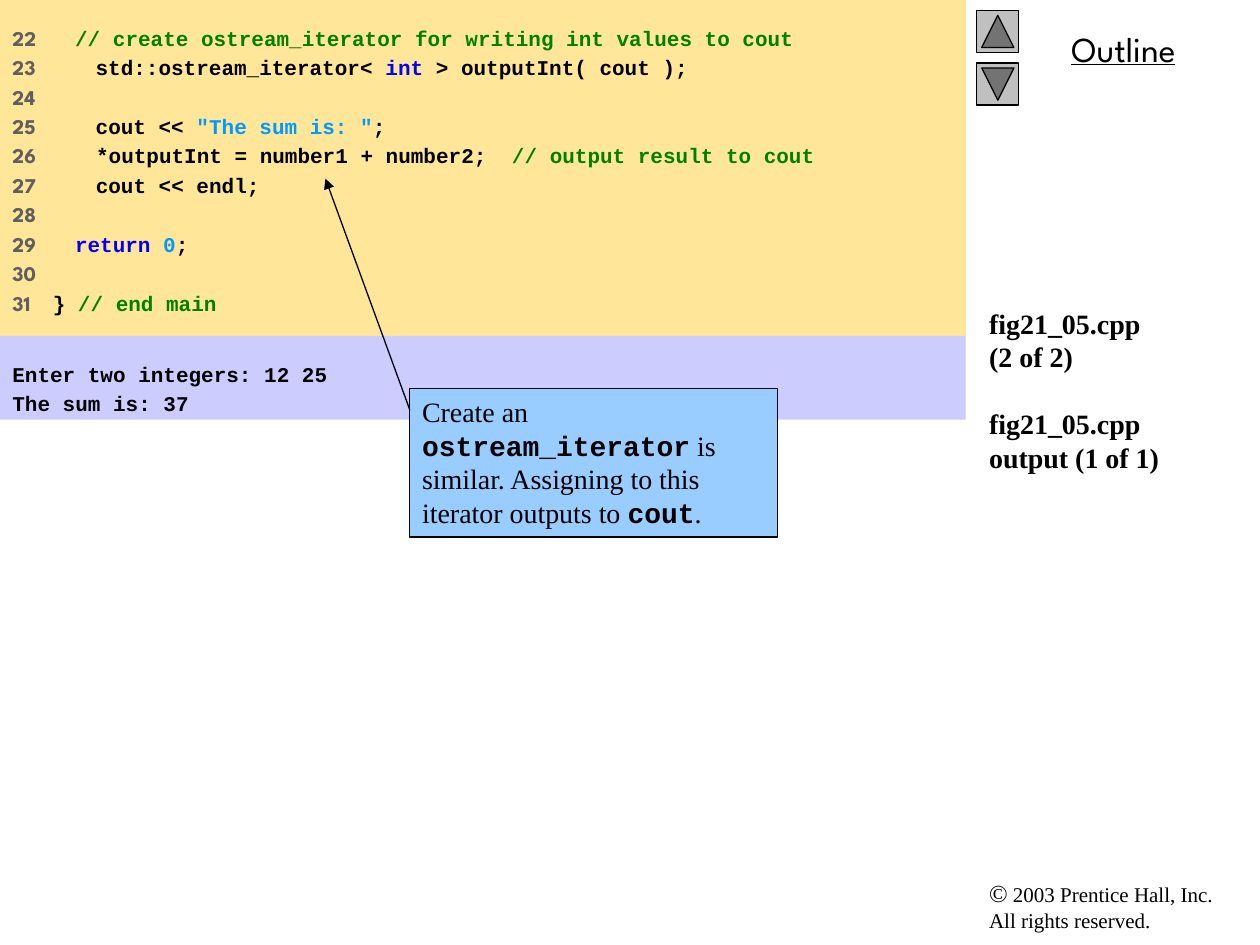
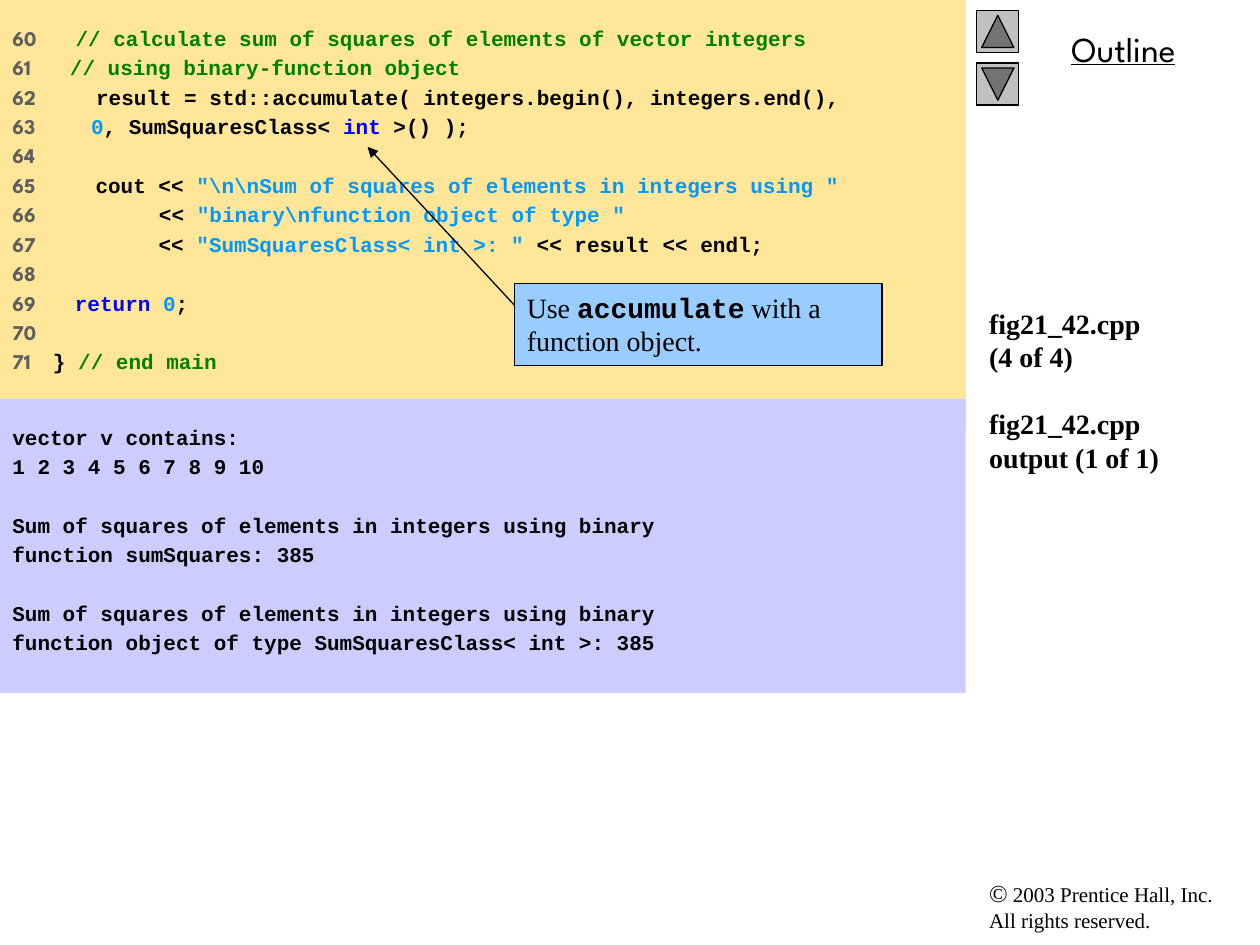
from lxml import etree
from pptx import Presentation
from pptx.dml.color import RGBColor
from pptx.enum.shapes import MSO_CONNECTOR, MSO_SHAPE
from pptx.enum.text import MSO_ANCHOR, MSO_AUTO_SIZE, PP_ALIGN
from pptx.oxml.ns import qn
from pptx.util import Cm, Pt

RECT, TRIANGLE = MSO_SHAPE.RECTANGLE, MSO_SHAPE.ISOSCELES_TRIANGLE
STRAIGHT = MSO_CONNECTOR.STRAIGHT
TOP, MIDDLE = MSO_ANCHOR.TOP, MSO_ANCHOR.MIDDLE
LEFT, CENTER = PP_ALIGN.LEFT, PP_ALIGN.CENTER
NO_FIT = MSO_AUTO_SIZE.NONE

# Shared colours, sizes and text styles
BLACK, CODE_FILL, OUTPUT_FILL, NOTE_FILL = "000000", "FFE699", "CCCCFF", "99CCFF"
BUTTON_FILL, ARROW_FILL = "C0C0C0", "737373"
BAND_W, SIDE_X, NOTE_W = 19.47, 19.69, 7.41
LINE_GAP, BLOCK_GAP = Pt(2.4), Pt(19.2)
SERIF, MONO, SANS = "Times New Roman", "Courier New", "League Spartan"
STYLES = {
    "number": ("5F5F5F", dict(name=SANS, size=Pt(12), bold=True)),
    "code": (BLACK, dict(name=MONO, size=Pt(12), bold=True)),
    "comment": ("008000", dict(name=MONO, size=Pt(12), bold=True)),
    "keyword": ("0000FF", dict(name=MONO, size=Pt(12), bold=True)),
    "literal": ("0099FF", dict(name=MONO, size=Pt(12), bold=True)),
    "title": (BLACK, dict(name=SERIF, size=Pt(16), bold=True)),
    "note": (BLACK, dict(name=SERIF, size=Pt(16), bold=False)),
    "term": (BLACK, dict(name=MONO, size=Pt(16), bold=True)),
    "outline": (BLACK, dict(name=SANS, size=Pt(20), underline=True)),
    "sign": (BLACK, dict(name=SERIF, size=Pt(14))),
    "rights": (BLACK, dict(name=SERIF, size=Pt(12))),
}


def set_box(sp, box, fill=None, line=None):
    sp.left, sp.top, sp.width, sp.height = [Cm(v) for v in box]
    if fill:
        sp.fill.solid()
        sp.fill.fore_color.rgb = RGBColor.from_string(fill)
        sp.shadow.inherit = False
        if line:
            sp.line.color.rgb = RGBColor.from_string(line)
            sp.line.width = Pt(0.75)
        else:
            sp.line.fill.background()


def set_text(sp, paragraphs, margin=0.13, anchor=TOP, align=LEFT):
    """Each paragraph is (space before, [(style, text), ...])."""
    tf = sp.text_frame
    frame = dict(word_wrap=True, auto_size=NO_FIT, vertical_anchor=anchor,
                 margin_left=Cm(0.25), margin_right=Cm(0.25),
                 margin_top=Cm(margin), margin_bottom=Cm(margin))
    for key, value in frame.items():
        setattr(tf, key, value)
    for i, (space, runs) in enumerate(paragraphs):
        p = tf.add_paragraph() if i else tf.paragraphs[0]
        p.alignment = align
        p.space_before = space if i else Pt(0)
        for style, text in runs:
            color, font = STYLES[style]
            for j, part in enumerate(text.split("\n")):
                if j:
                    p.add_line_break()
                r = p.add_run()
                r.text = part
                r.font.color.rgb = RGBColor.from_string(color)
                for key, value in font.items():
                    setattr(r.font, key, value)


# Slide content: each code line is the gap after its number, then its runs
WIDE, GAP = " " * 7, " " * 4
BLANK = ("",)
RETURN = (WIDE, ("keyword", "return "), ("literal", "0"), ("code", ";"))
END = (GAP, ("code", "} "), ("comment", "// end main"))
SLIDES = [
    dict(
        file="fig21_05.cpp", part="(2 of 2)", first=22, code_h=6.77,
        code=[
            (WIDE, ("comment", "// create ostream_iterator for writing int values to cout")),
            (GAP, ("code", "   std::ostream_iterator< "), ("keyword", "int"),
             ("code", " > outputInt( cout );")),
            BLANK,
            (GAP, ("code", "   cout << "), ("literal", '"The sum is: "'), ("code", ";")),
            (GAP, ("code", "   *outputInt = number1 + number2;  "),
             ("comment", "// output result to cout")),
            (GAP, ("code", "   cout << endl;")),
            BLANK, RETURN, BLANK, END,
        ],
        output_y=6.77, output_h=1.69,
        output=[["Enter two integers: 12 25", "The sum is: 37"]],
        note_box=(8.26, 7.83, NOTE_W, 3),
        note=[("note", "Create an "), ("term", "ostream_iterator"),
              ("note", " is similar. Assigning to this iterator outputs to "),
              ("term", "cout"), ("note", ".")],
        arrow=(8.26, 8.26, 6.56, 3.6),
    ),
    dict(
        file="fig21_42.cpp", part="(4 of 4)", first=60, code_h=8.68,
        code=[
            (WIDE, ("comment", "// calculate sum of squares of elements of vector integers")),
            (WIDE, ("comment", "// using binary-function object")),
            (GAP, ("code", "   result = std::accumulate( integers.begin(), integers.end(),")),
            (" " * 10, ("literal", "0"), ("code", ", SumSquaresClass< "),
             ("keyword", "int"), ("code", " >() );")),
            BLANK,
            (GAP, ("code", "   cout << "),
             ("literal", r'"\n\nSum of squares of elements in integers using "')),
            (GAP, ("code", "        << "), ("literal", r'"binary\nfunction object of type "')),
            (GAP, ("code", "        << "), ("literal", '"SumSquaresClass< int >: "'),
             ("code", " << result << endl;")),
            BLANK, RETURN, BLANK, END,
        ],
        output_y=8.04, output_h=5.93,
        output=[
            ["vector v contains:", "1 2 3 4 5 6 7 8 9 10"],
            ["Sum of squares of elements in integers using binary",
             "function sumSquares: 385"],
            ["Sum of squares of elements in integers using binary",
             "function object of type SumSquaresClass< int >: 385"],
        ],
        note_box=(10.37, 5.72, NOTE_W, 1.65),
        note=[("note", "Use "), ("term", "accumulate"), ("note", " with a function object.")],
        arrow=(10.37, 6.15, 7.41, 2.96),
    ),
]

prs = Presentation()
prs.slide_width, prs.slide_height = Cm(25.4), Cm(19.05)
layout = prs.slide_layouts[0]

for number, d in enumerate(SLIDES):
    s = prs.slides.add_slide(layout)

    # Side column, drawn once and kept on the layout
    if number == 0:
        shared = []
        for box, runs, align in [
            ((SIDE_X, 17.57, 5.5, 1.35),
             [("sign", "©"), ("rights", " 2003 Prentice Hall, Inc.\nAll rights reserved.")], LEFT),
            ((19.9, 0.42, 5.5, 1.1), [("outline", "Outline")], CENTER),
        ]:
            sp = s.shapes.add_textbox(0, 0, 0, 0)
            set_box(sp, box)
            set_text(sp, [(Pt(0), runs)], align=align)
            shared.append(sp)
        for i, turn in enumerate((0, 180)):
            y = 0.21 + 1.06 * i
            sp = s.shapes.add_shape(RECT, 0, 0, 0, 0)
            set_box(sp, (SIDE_X, y, 0.85, 0.85), BUTTON_FILL, BLACK)
            arrow = s.shapes.add_shape(TRIANGLE, 0, 0, 0, 0)
            set_box(arrow, (SIDE_X + 0.1, y + 0.1, 0.65, 0.65), ARROW_FILL, BLACK)
            arrow.rotation = turn
            shared += [sp, arrow]
        for sp in shared:
            layout.shapes.element.append(sp.element)

    # Title: file names beside the code
    title, body = s.shapes.title, s.placeholders[1]
    set_box(title, (SIDE_X, 2.33, 5.71, 13.34))
    set_text(title, [(Pt(0), [("title", f"{d['file']}\n{d['part']}")]),
                     (BLOCK_GAP, [("title", f"{d['file']}\noutput (1 of 1)")])],
             anchor=MIDDLE)
    title.text_frame.margin_bottom = Cm(2.4)

    # Numbered code
    set_box(body, (0, 0, BAND_W, d["code_h"]), CODE_FILL)
    set_text(body, [(LINE_GAP, [("number", f"{n}{gap}"), *runs])
                    for n, (gap, *runs) in enumerate(d["code"], d["first"])], margin=0.51)

    # Program output
    sp = s.shapes.add_shape(RECT, 0, 0, 0, 0)
    set_box(sp, (0, d["output_y"], BAND_W, d["output_h"]), OUTPUT_FILL)
    set_text(sp, [(LINE_GAP if i else BLOCK_GAP, [("code", line)])
                  for block in d["output"] for i, line in enumerate(block)], margin=0.51)

    # Callout and its arrow
    sp = s.shapes.add_shape(RECT, 0, 0, 0, 0)
    set_box(sp, d["note_box"], NOTE_FILL, BLACK)
    set_text(sp, [(Pt(0), d["note"])])
    c = s.shapes.add_connector(STRAIGHT, *[Cm(v) for v in d["arrow"]])
    c.line.color.rgb = RGBColor.from_string(BLACK)
    c.line.width = Pt(0.75)
    spPr = c.element.spPr
    etree.SubElement(spPr.find(qn("a:ln")), qn("a:tailEnd"), type="triangle")
    etree.SubElement(spPr, qn("a:effectLst"))

prs.save("out.pptx")
